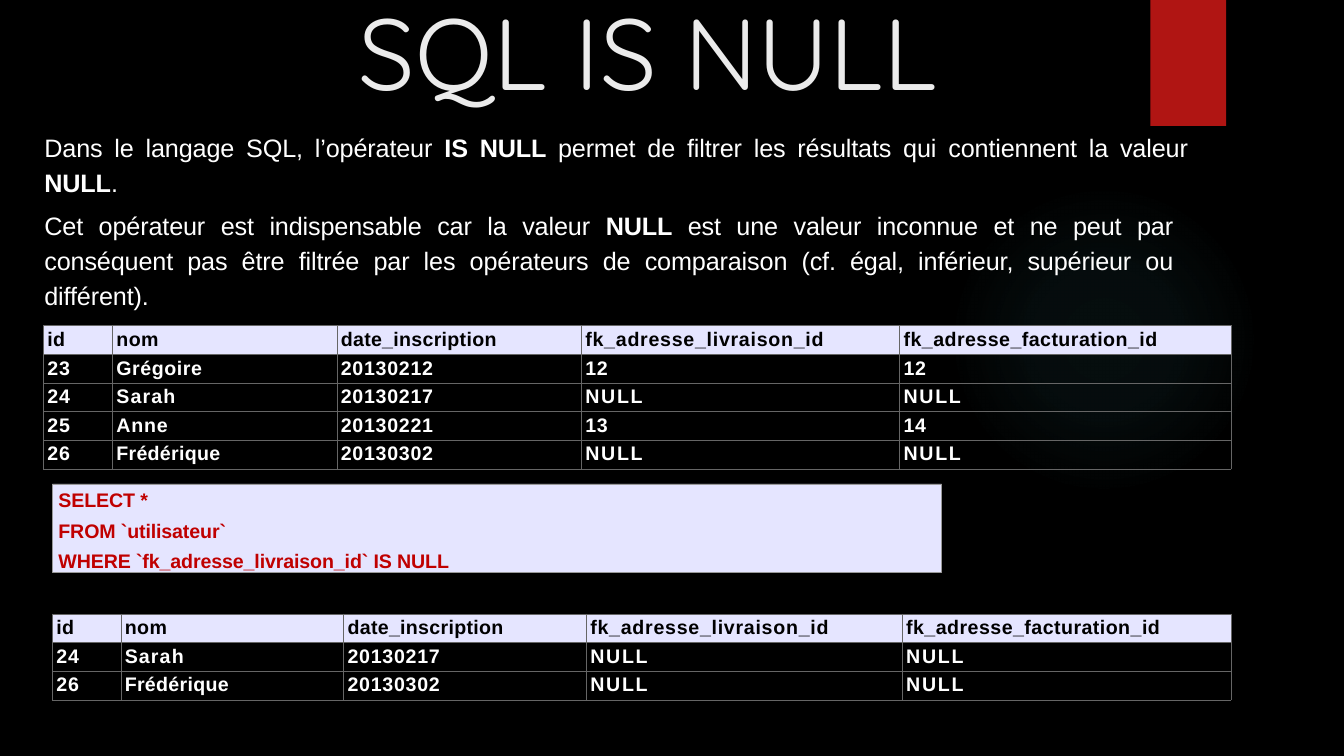
from dataclasses import dataclass
from lxml import etree
from pptx import Presentation
from pptx.dml.color import RGBColor
from pptx.enum.shapes import MSO_SHAPE
from pptx.enum.text import MSO_ANCHOR, PP_ALIGN
from pptx.oxml import parse_xml
from pptx.oxml.ns import qn
from pptx.util import Inches, Pt

RECTANGLE, OVAL = MSO_SHAPE.RECTANGLE, MSO_SHAPE.OVAL
TOP, BOTTOM = MSO_ANCHOR.TOP, MSO_ANCHOR.BOTTOM
LEFT, CENTER, JUSTIFY = PP_ALIGN.LEFT, PP_ALIGN.CENTER, PP_ALIGN.JUSTIFY
NAMESPACE = "http://schemas.openxmlformats.org/drawingml/2006/main"
SLIDE_WIDTH, SLIDE_HEIGHT = Inches(13.33), Inches(7.5)


@dataclass(frozen=True)
class Theme:
    background: str = "000000"
    title: str = "EBEBEB"
    text: str = "FFFFFF"
    header_text: str = "000000"
    panel: str = "E5E5FF"
    panel_line: str = "999999"
    border: str = "666666"
    ribbon: str = "B01513"
    query: str = "C00000"
    glow: str = "50B9C1"
    title_font: str = "Quicksand"
    body_font: str = "Arial"
    title_size: int = 72
    body_size: int = 18
    small_size: int = 14
    hairline: float = 0.25


THEME = Theme()
COLUMN_SHARES = (5.8, 18.9, 20.6, 26.8, 27.9)
ROW_SHARE = 3.79
HEADER = ("id", "nom", "date_inscription", "fk_adresse_livraison_id", "fk_adresse_facturation_id")
USERS = (
    ("23", "Grégoire", "20130212", "12", "12"),
    ("24", "Sarah", "20130217", "NULL", "NULL"),
    ("25", "Anne", "20130221", "13", "14"),
    ("26", "Frédérique", "20130302", "NULL", "NULL"),
)
LETTER_SPACING = {
    "id": 0.1, "nom": 0.3, "date_inscription": 0.2, "fk_adresse_facturation_id": 0.3,
    "Grégoire": 0.4, "Sarah": 0.8, "Anne": 0.6, "Frédérique": 0.2, "NULL": 1.2,
}
EXPLANATION = (
    "Dans le langage SQL, l’opérateur **IS NULL **permet de filtrer les résultats "
    "qui contiennent la valeur **NULL**.",
    "Cet opérateur est indispensable car la valeur **NULL **est une valeur inconnue "
    "et ne peut par conséquent pas être filtrée par les opérateurs de comparaison "
    "(cf. égal, inférieur, supérieur ou différent).",
)
QUERY = ("SELECT *", "FROM `utilisateur`", "WHERE `fk_adresse_livraison_id` IS NULL")


def across(share):
    return round(SLIDE_WIDTH * share / 100)


def down(share):
    return round(SLIDE_HEIGHT * share / 100)


def area(left, top, width, height):
    return across(left), down(top), across(width), down(height)


def write(frame, lines, *, size, color, font=THEME.body_font, bold=False, align=LEFT,
          before=0, first_before=None, line_spacing=None, indent=0, spacing=0):
    for index, line in enumerate(lines):
        para = frame.paragraphs[0] if index == 0 else frame.add_paragraph()
        para.alignment = align
        para.space_before = Pt(before if index or first_before is None else first_before)
        if line_spacing:
            para.line_spacing = line_spacing
        properties = para._p.get_or_add_pPr()
        properties.set("marL", str(Inches(indent)))
        properties.set("indent", "0")
        for part, piece in enumerate(line.split("**")):
            span = para.add_run()
            span.text = piece
            span.font.size = Pt(size)
            span.font.name = font
            span.font.bold = bold or part % 2 == 1
            span.font.color.rgb = RGBColor.from_string(color)
            span._r.get_or_add_rPr().set("spc", str(round(spacing * 100)))


def add_shape(page, kind, place, fill=None, line=None):
    shape = page.shapes.add_shape(kind, *area(*place))
    shape.shadow.inherit = False
    if fill:
        shape.fill.solid()
        shape.fill.fore_color.rgb = RGBColor.from_string(fill)
    if line:
        shape.line.color.rgb = RGBColor.from_string(line)
        shape.line.width = Pt(THEME.hairline)
    else:
        shape.line.fill.background()
    return shape


def add_glow(page, place):
    glow = add_shape(page, OVAL, place)
    stops = "".join(
        f'<a:gs pos="{position * 1000}"><a:srgbClr val="{THEME.glow}">'
        f'<a:alpha val="{opacity * 1000}"/></a:srgbClr></a:gs>'
        for position, opacity in ((0, 7), (36, 6), (69, 0), (100, 0)))
    gradient = parse_xml(
        f'<a:gradFill xmlns:a="{NAMESPACE}"><a:gsLst>{stops}</a:gsLst><a:path path="circle">'
        '<a:fillToRect l="50000" t="50000" r="50000" b="50000"/></a:path></a:gradFill>')
    glow._element.spPr.find(qn("a:prstGeom")).addnext(gradient)


def set_frame(frame, anchor=TOP, insets=(0, 0, 0, 0)):
    frame.word_wrap = True
    frame.vertical_anchor = anchor
    frame.margin_left, frame.margin_top, frame.margin_right, frame.margin_bottom = map(Inches, insets)
    return frame


def add_text(page, place, lines, anchor=TOP, insets=(0, 0, 0, 0), **text_format):
    box = page.shapes.add_textbox(*area(*place))
    write(set_frame(box.text_frame, anchor, insets), lines, **text_format)
    return box


def add_borders(cell):
    properties = cell._tc.get_or_add_tcPr()
    for index, side in enumerate(("lnL", "lnR", "lnT", "lnB")):
        edge = etree.Element(qn(f"a:{side}"), w=str(Pt(THEME.hairline)))
        fill = etree.SubElement(edge, qn("a:solidFill"))
        etree.SubElement(fill, qn("a:srgbClr"), val=THEME.border)
        properties.insert(index, edge)


def add_user_table(page, left, top, width, users):
    rows = (HEADER, *users)
    place = area(left, top, width, ROW_SHARE * len(rows))
    table = page.shapes.add_table(len(rows), len(HEADER), *place).table
    table.horz_banding = False
    for column, share in zip(table.columns, COLUMN_SHARES):
        column.width = across(width * share / 100)
    for row_index, values in enumerate(rows):
        table.rows[row_index].height = down(ROW_SHARE)
        is_header = row_index == 0
        for column_index, value in enumerate(values):
            cell = table.cell(row_index, column_index)
            cell.margin_left = cell.margin_right = cell.margin_bottom = 0
            cell.margin_top = Inches(0.03)
            if is_header:
                cell.fill.solid()
                cell.fill.fore_color.rgb = RGBColor.from_string(THEME.panel)
            else:
                cell.fill.background()
            add_borders(cell)
            write(cell.text_frame, [value], size=THEME.small_size, bold=True,
                  color=THEME.header_text if is_header else THEME.text,
                  before=2.1, indent=0.04, spacing=LETTER_SPACING.get(value, 0.5))


def main():
    deck = Presentation()
    deck.slide_width, deck.slide_height = SLIDE_WIDTH, SLIDE_HEIGHT
    page = deck.slides.add_slide(deck.slide_layouts[6])
    page.background.fill.solid()
    page.background.fill.fore_color.rgb = RGBColor.from_string(THEME.background)

    add_glow(page, (70.59, 24.4, 23.11, 41.07))
    add_shape(page, RECTANGLE, (85.6, 0, 5.63, 16.67), THEME.ribbon)
    add_text(page, (11.03, 2.8, 74.34, 12.53), ["SQL IS NULL"], BOTTOM, (0.1, 0.05, 0.1, 0.05),
             size=THEME.title_size, color=THEME.title, font=THEME.title_font, align=CENTER)
    explanation = add_text(page, (3.23, 14.4, 85.15, 26.93), EXPLANATION, insets=(0, 0.19, 0, 0),
                           size=THEME.body_size, color=THEME.text, align=JUSTIFY, before=6.2,
                           line_spacing=1.15, indent=0.01, spacing=-0.1)
    last_para = explanation.text_frame.paragraphs[-1]
    last_para._p.get_or_add_pPr().set("marR", str(across(1.1)))

    add_user_table(page, 3.23, 43.07, 88.36, USERS)
    query = add_shape(page, RECTANGLE, (3.9, 64, 66.17, 11.73), THEME.panel, THEME.panel_line)
    write(set_frame(query.text_frame, insets=(0, 0.04, 0, 0)), QUERY, size=THEME.small_size,
          color=THEME.query, bold=True, before=5.1, first_before=2.7, indent=0.06, spacing=-0.1)
    add_user_table(page, 3.9, 81.2, 87.7, [user for user in USERS if user[3] == "NULL"])
    deck.save("out.pptx")


main()
